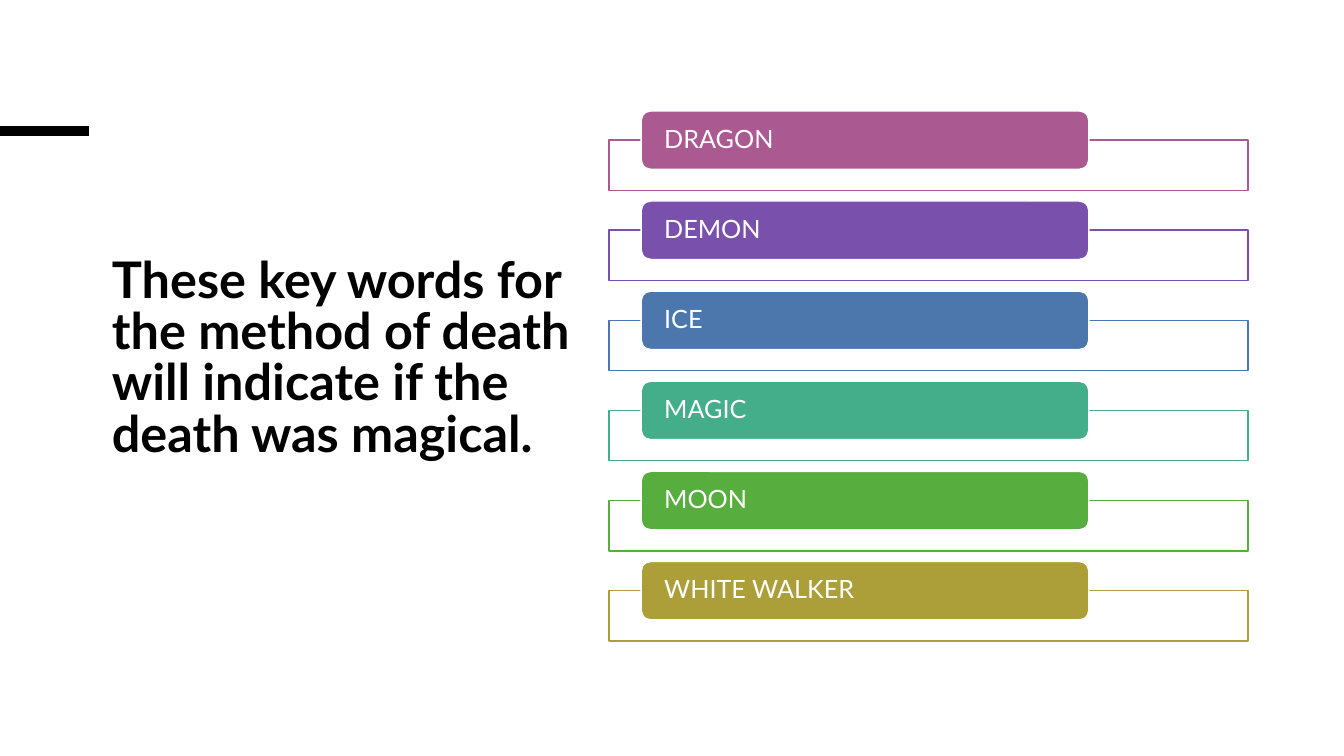
"""Build a slide that lists the key words of a magical death."""
from dataclasses import dataclass

from lxml import etree
from pptx import Presentation
from pptx.dml.color import RGBColor
from pptx.enum.shapes import MSO_CONNECTOR, MSO_SHAPE
from pptx.enum.text import MSO_ANCHOR, MSO_AUTO_SIZE, PP_ALIGN
from pptx.oxml.ns import qn
from pptx.util import Inches, Pt

STRAIGHT = MSO_CONNECTOR.STRAIGHT
RECTANGLE = MSO_SHAPE.RECTANGLE
ROUNDED = MSO_SHAPE.ROUNDED_RECTANGLE
TOP, MIDDLE = MSO_ANCHOR.TOP, MSO_ANCHOR.MIDDLE
NO_FIT = MSO_AUTO_SIZE.NONE
LEFT = PP_ALIGN.LEFT
TITLE_ONLY = 5


@dataclass(frozen=True)
class Theme:
    """Colours, font and type sizes of the deck."""
    font: str = "Lato"
    ink: str = "000000"
    paper: str = "FFFFFF"
    title_size: int = 36
    label_size: int = 18
    bar_width: float = 6.75
    outline: int = 1


THEME = Theme()
TITLE = "These key words for the method of death will indicate if the death was magical."
KEY_WORDS = [
    ("DRAGON", "AB5991"),
    ("DEMON", "7951AD"),
    ("ICE", "4B77AD"),
    ("MAGIC", "44AD89"),
    ("MOON", "58AD3F"),
    ("WHITE WALKER", "AC9F39"),
]
LIST_TOP = 1.1
ROW_PITCH = 0.894
FRAME_DROP = 0.29


def place(shape, left, top, width, height):
    """Set the position and size of a shape in inches."""
    shape.left, shape.top = Inches(left), Inches(top)
    shape.width, shape.height = Inches(width), Inches(height)


def write(frame, text, size, color, spacing, bold=False):
    """Write one left-aligned paragraph into a text frame."""
    frame.word_wrap = True
    frame.auto_size = NO_FIT
    para = frame.paragraphs[0]
    para.alignment = LEFT
    para.line_spacing = spacing
    span = para.add_run()
    span.text = text
    span.font.name = THEME.font
    span.font.size = Pt(size)
    span.font.bold = bold
    span.font.color.rgb = RGBColor.from_string(color)


def add_title(page):
    """Fill the title placeholder at the left of the page."""
    title = page.shapes.title
    place(title, 1.01, 2.5, 4.9, 2.7)
    title.text_frame.vertical_anchor = TOP
    write(title.text_frame, TITLE, THEME.title_size, THEME.ink, 0.85, bold=True)


def add_accent_bar(page):
    """Draw the short thick bar at the left edge."""
    bar = page.shapes.add_connector(
        STRAIGHT, 0, Inches(1.3), Inches(0.88), Inches(1.3))
    bar.line.color.rgb = RGBColor.from_string(THEME.ink)
    bar.line.width = Pt(THEME.bar_width)
    etree.SubElement(bar._element.spPr, qn("a:effectLst"))


def add_panel(page, preset, bounds, fill, line):
    """Add a filled and outlined shape without a shadow."""
    panel = page.shapes.add_shape(preset, *map(Inches, bounds))
    panel.shadow.inherit = False
    panel.fill.solid()
    panel.fill.fore_color.rgb = RGBColor.from_string(fill)
    panel.line.color.rgb = RGBColor.from_string(line)
    panel.line.width = Pt(THEME.outline)
    return panel


def add_key_word(page, row, word, color):
    """Add one row: an outlined frame with a coloured label over it."""
    top = LIST_TOP + row * ROW_PITCH
    frame = add_panel(page, RECTANGLE, (6.04, top + FRAME_DROP, 6.34, 0.5),
                      THEME.paper, color)
    paint = frame._element.spPr.find(qn("a:solidFill"))[0]
    etree.SubElement(paint, qn("a:alpha"), val="90000")
    label = add_panel(page, ROUNDED, (6.36, top, 4.44, 0.58), color, THEME.paper)
    text = label.text_frame
    text.vertical_anchor = MIDDLE
    text.margin_left = text.margin_right = Inches(0.2)
    text.margin_top = text.margin_bottom = 0
    write(text, word, THEME.label_size, THEME.paper, 0.9)


def main():
    """Build and save the deck."""
    deck = Presentation()
    deck.slide_width, deck.slide_height = Inches(13.33), Inches(7.5)
    page = deck.slides.add_slide(deck.slide_layouts[TITLE_ONLY])
    add_title(page)
    add_accent_bar(page)
    for row, (word, color) in enumerate(KEY_WORDS):
        add_key_word(page, row, word, color)
    deck.save("out.pptx")


if __name__ == "__main__":
    main()
